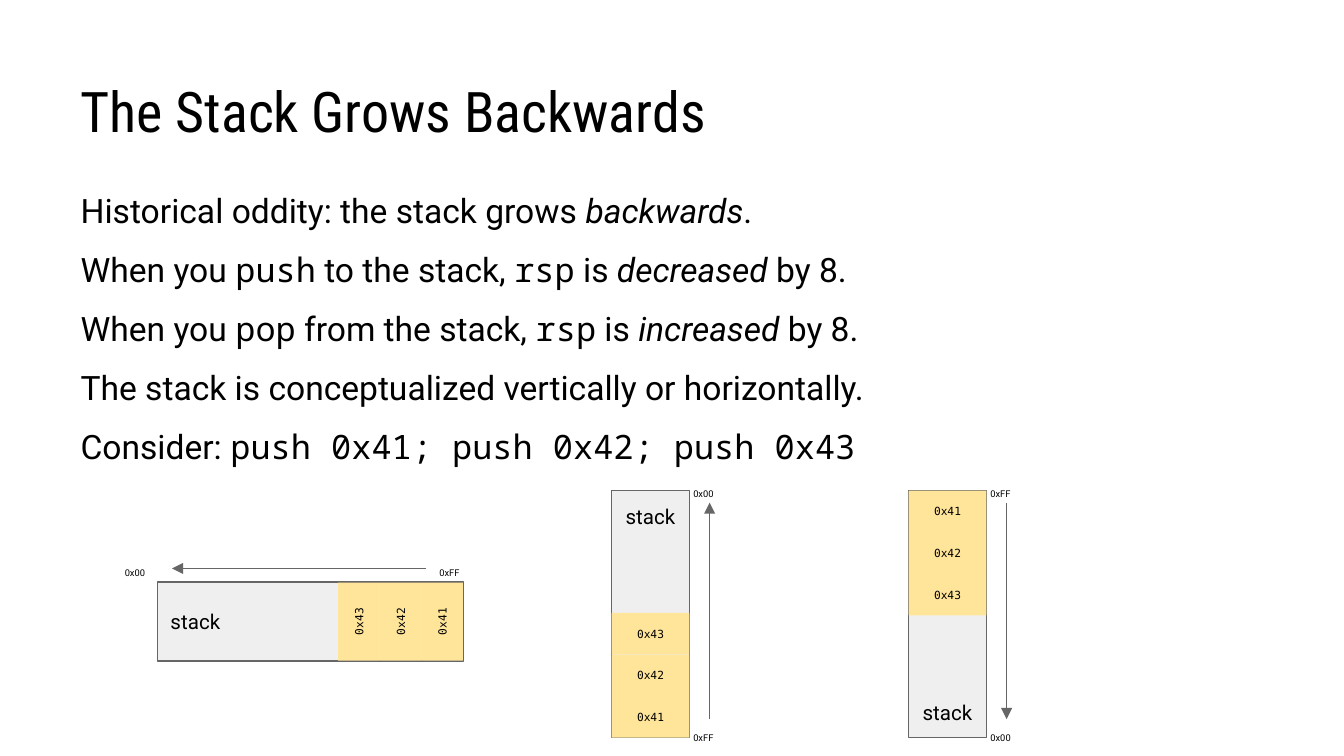
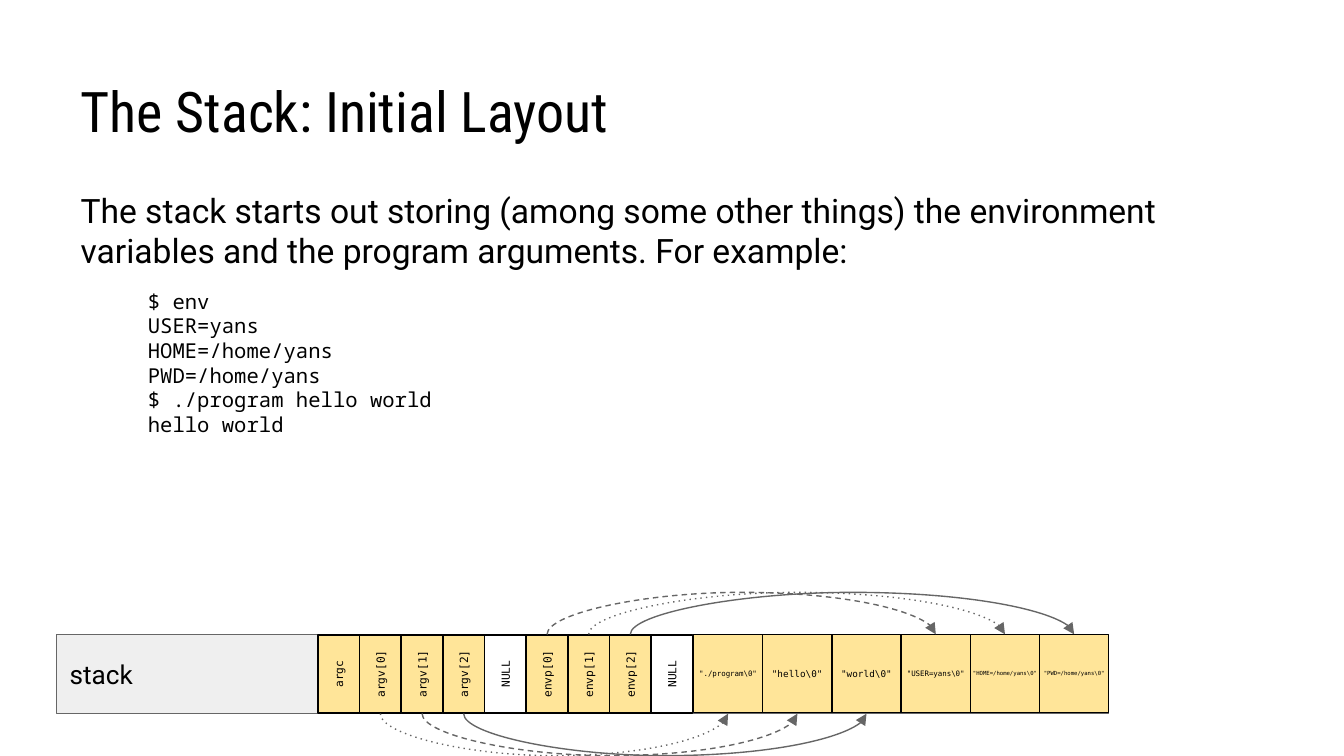
"""Build two slides on how a program stack grows and what it holds at start."""
from dataclasses import dataclass

import lxml.etree
import pptx
import pptx.dml.color
import pptx.enum.dml
import pptx.enum.shapes
import pptx.enum.text
import pptx.oxml.ns
import pptx.util

Inches = pptx.util.Inches
Pt = pptx.util.Pt
qn = pptx.oxml.ns.qn
RGB = pptx.dml.color.RGBColor.from_string
ALIGN = pptx.enum.text.PP_ALIGN
ANCHOR = pptx.enum.text.MSO_ANCHOR
CONNECTOR = pptx.enum.shapes.MSO_CONNECTOR


@dataclass(frozen=True)
class Theme:
    ink: str = "000000"
    edge: str = "666666"
    free: str = "EFEFEF"
    used: str = "FFE599"
    blank: str = "FFFFFF"
    heading_font: str = "Roboto Condensed"
    text_font: str = "Roboto"
    code_font: str = "Noto Sans Mono"
    cell_font: str = "DejaVu Sans Mono"
    title_size: int = 30
    body_size: int = 18
    shell_size: int = 11
    stack_size: int = 11
    wide_stack_size: int = 14
    cell_size: int = 6
    address_size: int = 5
    line_width: float = 0.75


class Deck:
    def __init__(self, theme):
        self.theme = theme
        self.presentation = pptx.Presentation()
        self.presentation.slide_width = Inches(10)
        self.presentation.slide_height = Inches(10) * 9 // 16
        self.slide = None
        self.body = None

    def style(self, paragraph, face, size):
        paragraph.font.name = face
        paragraph.font.size = Pt(size)
        paragraph.font.color.rgb = RGB(self.theme.ink)

    def frame(self, holder, inset, anchor):
        frame = holder.text_frame
        frame.word_wrap = True
        frame.auto_size = pptx.enum.text.MSO_AUTO_SIZE.NONE
        frame.vertical_anchor = anchor
        frame.margin_left = frame.margin_right = Inches(inset)
        frame.margin_top = frame.margin_bottom = Inches(inset)
        return frame

    def place(self, holder, left, top, width, height):
        holder.left, holder.top = Inches(left), Inches(top)
        holder.width, holder.height = Inches(width), Inches(height)

    def add_slide(self, title):
        layout = self.presentation.slide_layouts[1]
        self.slide = self.presentation.slides.add_slide(layout)
        heading = self.slide.shapes.title
        self.place(heading, 0.5, 0.23, 9, 0.94)
        self.place(self.slide.placeholders[1], 0.5, 1.31, 9, 2.99)
        frame = self.frame(heading, 0.1, ANCHOR.BOTTOM)
        frame.text = title
        frame.paragraphs[0].alignment = ALIGN.LEFT
        self.style(frame.paragraphs[0], self.theme.heading_font, self.theme.title_size)
        self.body = self.frame(self.slide.placeholders[1], 0.1, ANCHOR.TOP)

    def add_line(self, *parts, face=None, size=None, before=10, indent=0):
        paragraph = self.body.paragraphs[0]
        if paragraph.runs:
            paragraph = self.body.add_paragraph()
        else:
            before = 0
        paragraph.space_before = Pt(before)
        properties = paragraph._p.get_or_add_pPr()
        properties.set("marL", str(Inches(indent)))
        properties.set("indent", "0")
        lxml.etree.SubElement(properties, qn("a:buNone"))
        self.style(paragraph, face or self.theme.text_font, size or self.theme.body_size)
        for part in parts:
            wording, kind = part if isinstance(part, tuple) else (part, "plain")
            run = paragraph.add_run()
            run.text = wording
            if kind == "code":
                run.font.name = self.theme.code_font
            elif kind == "stress":
                run.font.italic = True

    def add_box(self, wording, left, top, width, height, fill, line, face, size,
                inset=0, anchor=ANCHOR.MIDDLE, align=ALIGN.CENTER):
        box = self.slide.shapes.add_shape(
            pptx.enum.shapes.MSO_SHAPE.RECTANGLE,
            Inches(left), Inches(top), Inches(width), Inches(height))
        box.shadow.inherit = False
        box.fill.solid()
        box.fill.fore_color.rgb = RGB(fill)
        if line:
            box.line.color.rgb = RGB(line)
            box.line.width = Pt(self.theme.line_width)
        else:
            box.line.fill.background()
        frame = self.frame(box, inset, anchor)
        frame.text = wording
        frame.paragraphs[0].alignment = align
        self.style(frame.paragraphs[0], face, size)
        return box

    def add_stack(self, left, top, width, height, size, anchor, align=ALIGN.CENTER):
        self.add_box("stack", left, top, width, height, self.theme.free,
                     self.theme.edge, self.theme.text_font, size, 0.1, anchor, align)

    def add_cell(self, wording, left, top, width=0.58, height=0.31,
                 fill=None, line=None, size=None):
        return self.add_box(wording, left, top, width, height, fill or self.theme.used,
                            line, self.theme.cell_font, size or self.theme.cell_size)

    def add_upright_cell(self, wording, center_x, top, **look):
        cell = self.add_cell(wording, center_x - 0.29, top, **look)
        cell.rotation = 270

    def add_address(self, wording, left, top):
        label = self.slide.shapes.add_textbox(
            Inches(left), Inches(top), Inches(0.45), Inches(0.21))
        frame = self.frame(label, 0.1, ANCHOR.TOP)
        frame.text = wording
        self.style(frame.paragraphs[0], self.theme.text_font, self.theme.address_size)

    def add_arrow(self, start, end, kind=CONNECTOR.STRAIGHT, dash="solid"):
        arrow = self.slide.shapes.add_connector(
            kind, *(Inches(length) for length in (*start, *end)))
        arrow.line.color.rgb = RGB(self.theme.edge)
        arrow.line.width = Pt(self.theme.line_width)
        outline = arrow.line._get_or_add_ln()
        lxml.etree.SubElement(outline, qn("a:prstDash"), val=dash)
        lxml.etree.SubElement(outline, qn("a:tailEnd"), type="triangle")
        lxml.etree.SubElement(arrow._element.spPr, qn("a:effectLst"))
        return arrow

    def add_arc(self, start_x, end_x, y, dash, below=False):
        arc = self.add_arrow((start_x, y), (end_x, y), CONNECTOR.CURVE, dash)
        span = end_x - start_x
        arc.left, arc.top = Inches((start_x + end_x) / 2), Inches(y - span / 2)
        arc.width, arc.height = pptx.util.Emu(600), Inches(span)
        properties = arc._element.spPr
        turn = properties.find(qn("a:xfrm"))
        turn.set("rot", "16200000")
        if below:
            turn.set("flipH", "1")
        geometry = properties.find(qn("a:prstGeom"))
        adjustments = geometry.find(qn("a:avLst"))
        if adjustments is None:
            adjustments = lxml.etree.SubElement(geometry, qn("a:avLst"))
        lxml.etree.SubElement(adjustments, qn("a:gd"), name="adj1", fmla="val 39787500")


def build_growth(deck):
    theme = deck.theme
    pushed = ["0x41", "0x42", "0x43"]
    deck.add_slide("The Stack Grows Backwards")
    deck.add_line("Historical oddity: the stack grows ", ("backwards", "stress"), ".")
    for command, direction, change in (("push", "to", "decreased"),
                                       ("pop", "from", "increased")):
        deck.add_line("When you ", (command, "code"), f" {direction} the stack, ",
                      ("rsp", "code"), " is ", (change, "stress"), " by 8.")
    deck.add_line("The stack is conceptualized vertically or horizontally.")
    deck.add_line("Consider: ", ("push 0x41; push 0x42; push 0x43", "code"))

    deck.add_stack(1.17, 4.33, 2.28, 0.59, theme.stack_size, ANCHOR.MIDDLE, ALIGN.LEFT)
    for index, value in enumerate(pushed):
        deck.add_upright_cell(value, 3.29 - 0.31 * index, 4.47)
    deck.add_address("0x00", 0.83, 4.12)
    deck.add_address("0xFF", 3.17, 4.12)
    deck.add_arrow((3.17, 4.23), (1.28, 4.23))

    upward = (4.55, ANCHOR.TOP, 5.18, -0.31, "0x00", "0xFF", 5.35, 3.74)
    downward = (6.76, ANCHOR.BOTTOM, 3.65, 0.31, "0xFF", "0x00", 3.74, 5.35)
    for left, anchor, first, step, upper, lower, tail, head in (upward, downward):
        deck.add_stack(left, 3.65, 0.58, 1.84, theme.stack_size, anchor)
        for index, value in enumerate(pushed):
            deck.add_cell(value, left, first + step * index)
        deck.add_address(upper, left + 0.51, 3.53)
        deck.add_address(lower, left + 0.51, 5.35)
        deck.add_arrow((left + 0.73, tail), (left + 0.73, head))


def build_layout(deck):
    theme = deck.theme
    deck.add_slide("The Stack: Initial Layout")
    deck.add_line("The stack starts out storing (among some other things) the "
                  "environment variables and the program arguments. For example:")
    session = ["$ env", "USER=yans", "HOME=/home/yans", "PWD=/home/yans",
               "$ ./program hello world", "hello world"]
    for index, entry in enumerate(session):
        deck.add_line(entry, face=theme.code_font, size=theme.shell_size,
                      before=0 if index else 10, indent=0.5)

    deck.add_stack(0.42, 4.72, 7.83, 0.59, theme.wide_stack_size,
                   ANCHOR.MIDDLE, ALIGN.LEFT)
    pointers = ["argc", "argv[0]", "argv[1]", "argv[2]", "NULL",
                "envp[0]", "envp[1]", "envp[2]", "NULL"]
    pointer_x = [2.52 + 0.31 * index for index in range(len(pointers))]
    for pointer, center in zip(pointers, pointer_x):
        deck.add_upright_cell(pointer, center, 4.86, line=theme.ink,
                              fill=theme.blank if pointer == "NULL" else theme.used)

    strings = [("./program", 4), ("hello", 5), ("world", 5),
               ("USER=yans", 4), ("HOME=/home/yans", 3), ("PWD=/home/yans", 3)]
    string_width = (8.25 - 5.16) / len(strings)
    for index, (value, size) in enumerate(strings):
        deck.add_cell(f'"{value}\\0"', 5.16 + string_width * index, 4.72,
                      string_width, 0.58, line=theme.ink, size=size)

    for first_pointer, first_string, y, dashes, below in (
            (1, 0, 5.31, ("dot", "dash", "solid"), True),
            (5, 3, 4.72, ("dash", "dot", "solid"), False)):
        for index, dash in enumerate(dashes):
            target = 5.16 + string_width * (first_string + index + 0.5)
            deck.add_arc(pointer_x[first_pointer + index], target, y, dash, below)


def main():
    deck = Deck(Theme())
    build_growth(deck)
    build_layout(deck)
    deck.presentation.save("out.pptx")


if __name__ == "__main__":
    main()
